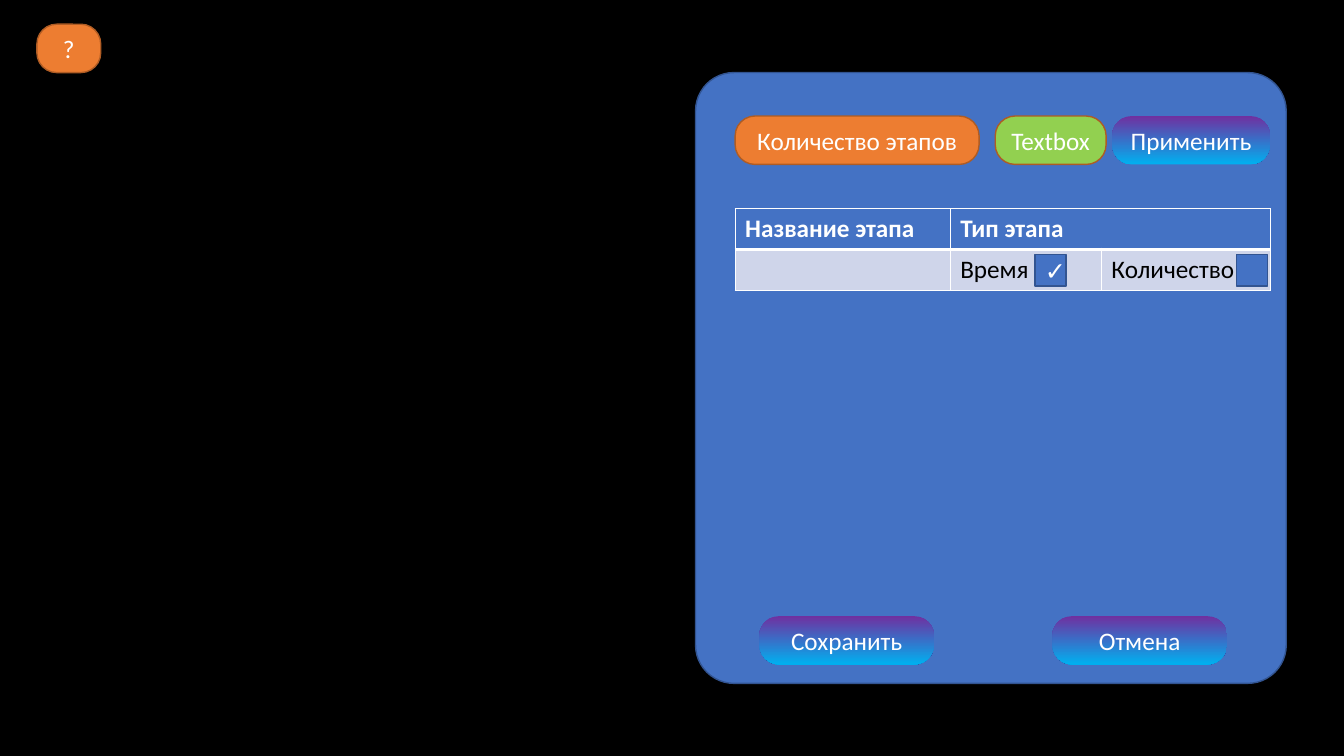
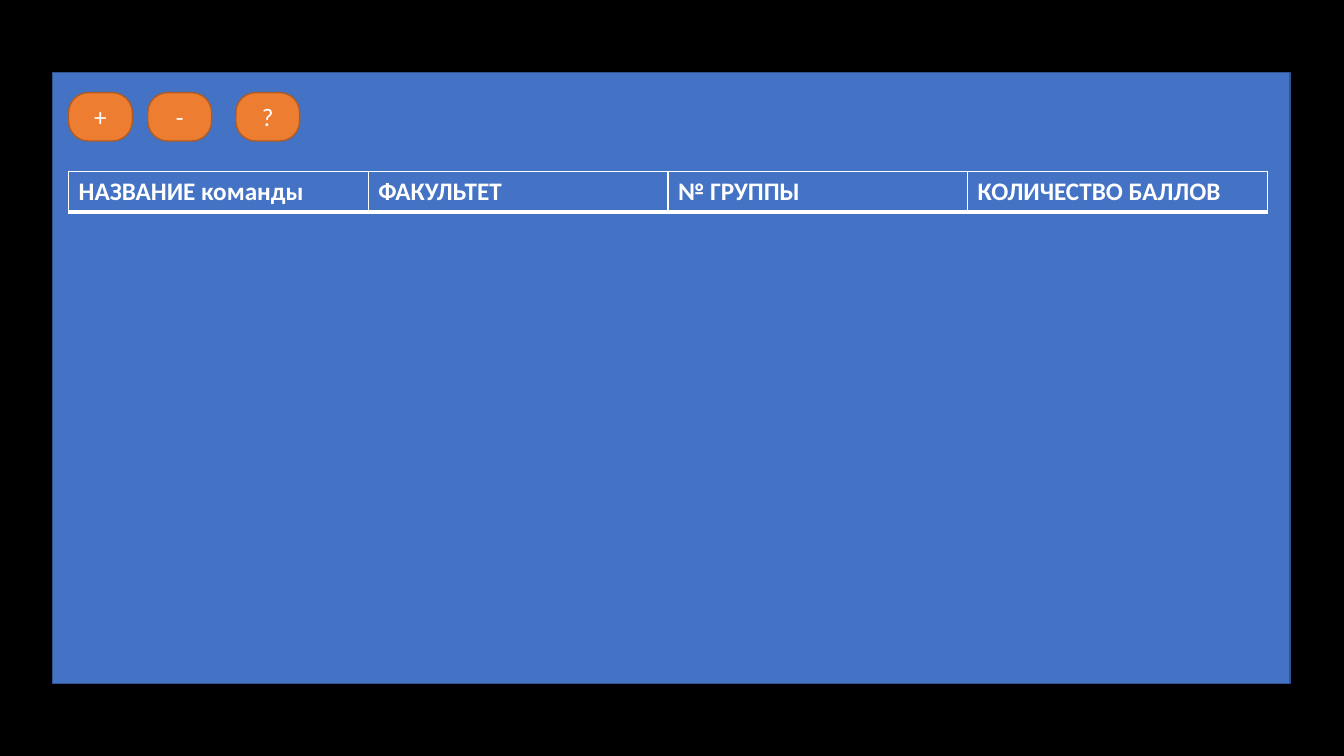
from lxml import etree
from pptx import Presentation
from pptx.dml.color import RGBColor
from pptx.enum.shapes import MSO_SHAPE
from pptx.enum.text import MSO_ANCHOR, PP_ALIGN
from pptx.oxml.ns import qn
from pptx.util import Inches, Pt

RECTANGLE = MSO_SHAPE.RECTANGLE
ROUNDED = MSO_SHAPE.ROUNDED_RECTANGLE
CENTER = PP_ALIGN.CENTER
MIDDLE = MSO_ANCHOR.MIDDLE

# Theme
BLACK = RGBColor(0x00, 0x00, 0x00)
WHITE = RGBColor(0xFF, 0xFF, 0xFF)
BLUE = RGBColor(0x44, 0x72, 0xC4)
DARK_BLUE = RGBColor(0x32, 0x54, 0x91)
ORANGE = RGBColor(0xED, 0x7D, 0x31)
DARK_ORANGE = RGBColor(0xAF, 0x5C, 0x24)
GREEN = RGBColor(0x92, 0xD0, 0x50)
PALE_BLUE = RGBColor(0xCF, 0xD5, 0xEA)
PURPLE = RGBColor(0x70, 0x30, 0xA0)
SKY = RGBColor(0x00, 0xB0, 0xF0)
FONT = "Calibri"
TEXT_SIZE = Pt(18)
THIN, THICK = Pt(1), Pt(3)

# Grid of 100 columns by 100 rows; the sizes below are in its units
SLIDE_WIDTH, SLIDE_HEIGHT = Inches(13.33), Inches(7.5)
PANEL_TOP, PANEL_HEIGHT = 9.6, 80.8
BUTTON_HEIGHT = 6.4
ICON_WIDTH = 4.75
TABLE_ROW = 5.4


def columns(count):
    return round(SLIDE_WIDTH * count / 100)


def rows(count):
    return round(SLIDE_HEIGHT * count / 100)


def style_text(paragraph, text, color=WHITE, bold=False):
    paragraph.text = text
    font = paragraph.font
    font.name, font.size, font.bold = FONT, TEXT_SIZE, bold
    font.color.rgb = color


def add_box(slide, kind, left, top, width, height, fill, line, text=""):
    shape = slide.shapes.add_shape(
        kind, columns(left), rows(top), columns(width), rows(height))
    shape.shadow.inherit = False
    shape.fill.solid()
    shape.fill.fore_color.rgb = fill
    shape.line.color.rgb = line
    shape.line.width = THIN
    if text:
        shape.text_frame.vertical_anchor = MIDDLE
        paragraph = shape.text_frame.paragraphs[0]
        paragraph.alignment = CENTER
        style_text(paragraph, text)
    return shape


def add_panel(slide, kind, left, width):
    return add_box(slide, kind, left, PANEL_TOP, width, PANEL_HEIGHT, BLUE, DARK_BLUE)


def add_button(slide, left, top, width, text, fill=ORANGE):
    button = add_box(slide, ROUNDED, left, top, width, BUTTON_HEIGHT,
                     fill, DARK_ORANGE, text)
    button.adjustments[0] = 0.41
    return button


def add_action_button(slide, left, top, width, text):
    button = add_button(slide, left, top, width, text)
    button.line.fill.background()
    button.fill.gradient()
    button.fill.gradient_angle = 270
    for stop, color in zip(button.fill.gradient_stops, (PURPLE, SKY)):
        stop.color.rgb = color


def add_checkbox(slide, left, top, text=""):
    add_box(slide, RECTANGLE, left, top, 2.33, 4.13, BLUE, DARK_BLUE, text)


def add_cell_borders(cell, top, bottom):
    properties = cell._tc.get_or_add_tcPr()
    sides = {"a:lnL": THIN, "a:lnR": THIN, "a:lnT": top, "a:lnB": bottom}
    for side, width in sides.items():
        border = etree.SubElement(properties, qn(side), w=str(width))
        fill = etree.SubElement(border, qn("a:solidFill"))
        etree.SubElement(fill, qn("a:srgbClr"), val=str(WHITE))


def add_table(slide, left, top, widths, lines):
    """The first line is the header, with a thick rule below it."""
    frame = slide.shapes.add_table(
        len(lines), len(widths), columns(left), rows(top),
        columns(sum(widths)), rows(TABLE_ROW * len(lines)))
    table = frame.table
    for column, width in zip(table.columns, widths):
        column.width = columns(width)
    for row_index, line in enumerate(lines):
        header = row_index == 0
        for column_index, text in enumerate(line):
            cell = table.cell(row_index, column_index)
            add_cell_borders(cell, THICK if row_index == 1 else THIN,
                             THICK if header else THIN)
            cell.fill.solid()
            cell.fill.fore_color.rgb = BLUE if header else PALE_BLUE
            style_text(cell.text_frame.paragraphs[0], text,
                       WHITE if header else BLACK, header)
    return table


def build_stage_settings(slide):
    left, toolbar_top, footer_top = 54.7, 15.35, 81.5
    panel = add_panel(slide, ROUNDED, 51.75, 43.95)
    panel.adjustments[0] = 0.065

    # Toolbar
    add_button(slide, left, toolbar_top, 18.15, "Количество этапов")
    add_button(slide, 74.05, toolbar_top, 8.25, "Textbox", GREEN)
    add_button(slide, 2.75, 3.2, ICON_WIDTH, "?")
    add_action_button(slide, 82.75, toolbar_top, 11.75, "Применить")

    # Stage table with its checkboxes
    table = add_table(slide, left, 27.6, (16, 11.25, 12.6), (
        ("Название этапа", "Тип этапа", ""),
        ("", "Время", "Количество")))
    table.cell(0, 1).merge(table.cell(0, 2))
    for checkbox_left, mark in ((77, "✓"), (92, "")):
        add_checkbox(slide, checkbox_left, 33.7, mark)

    # Footer
    for button_left, text in ((56.5, "Сохранить"), (78.3, "Отмена")):
        add_action_button(slide, button_left, footer_top, 13, text)


def build_team_table(slide):
    left = 5.1
    add_panel(slide, RECTANGLE, 3.9, 92.1)
    for button_left, text in ((left, "+"), (11, "-"), (17.55, "?")):
        add_button(slide, button_left, 12.25, ICON_WIDTH, text)
    headings = ("НАЗВАНИЕ команды", "ФАКУЛЬТЕТ", "№ ГРУППЫ", "КОЛИЧЕСТВО БАЛЛОВ")
    add_table(slide, left, 22.65, [22.3] * len(headings), [headings])


def main():
    presentation = Presentation()
    presentation.slide_width, presentation.slide_height = SLIDE_WIDTH, SLIDE_HEIGHT
    background = presentation.slide_master.background.fill
    background.solid()
    background.fore_color.rgb = BLACK
    blank_layout = presentation.slide_layouts[6]
    for build in (build_stage_settings, build_team_table):
        build(presentation.slides.add_slide(blank_layout))
    presentation.save("out.pptx")


main()
